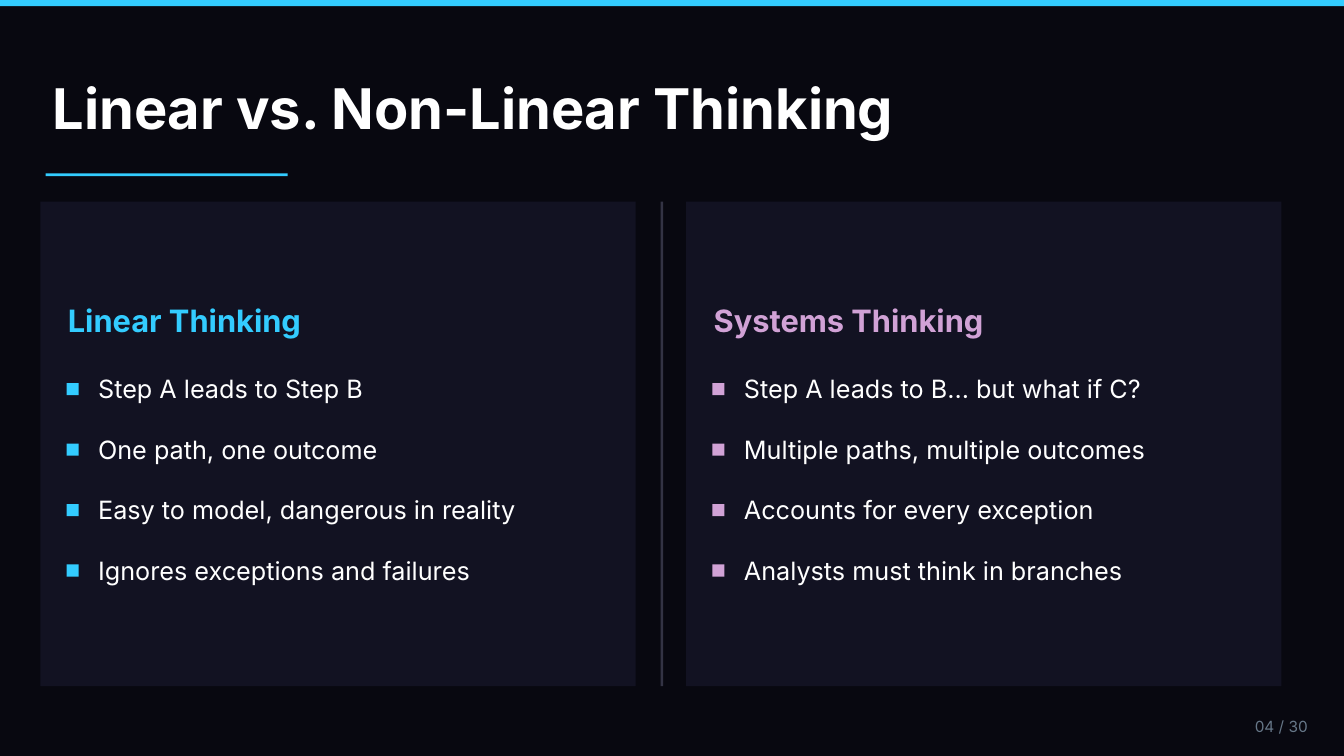
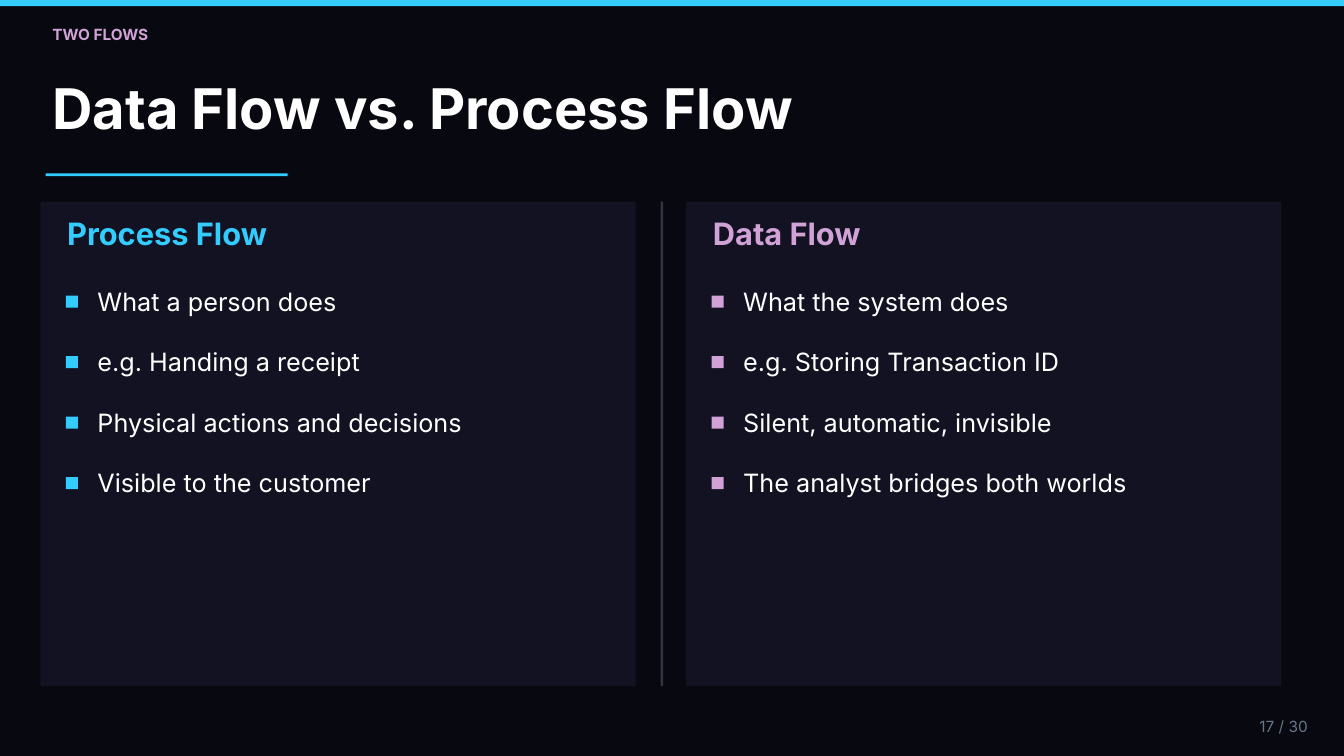
from pptx import Presentation
from pptx.dml.color import RGBColor
from pptx.enum.shapes import MSO_SHAPE
from pptx.enum.text import MSO_AUTO_SIZE, PP_ALIGN
from pptx.util import Inches, Pt

BACKGROUND, PANEL, DIVIDER = "080810", "121222", "333344"
CYAN, LILAC, WHITE, GREY = "33CCFF", "D1A2D6", "FFFFFF", "667788"

TITLE = {"size": Pt(60), "bold": True}
HEADING = {"size": Pt(33), "bold": True}
BODY = {"size": Pt(27), "bold": False}
LABEL = {"size": Pt(16.5), "bold": True}
FOOTER = {"size": Pt(16.5), "bold": False}

FRAME = {
    "margin_left": 0, "margin_top": 0, "margin_right": 0, "margin_bottom": 0,
    "word_wrap": True, "auto_size": MSO_AUTO_SIZE.SHAPE_TO_FIT_TEXT,
}

PANEL_LEFT, PANEL_TOP, PANEL_WIDTH, PANEL_HEIGHT = 0.6, 3, 8.86, 7.21
PANEL_STEP = 9.61
BULLET_SIZE, BULLET_STEP = 0.18, 0.9

PAGES = [
    {
        "number": "04 / 30",
        "label": None,
        "title": "Linear vs. Non-Linear Thinking",
        "inset": 0.41,
        "heading_top": 4.49,
        "columns": [
            ("Linear Thinking", CYAN, [
                "Step A leads to Step B",
                "One path, one outcome",
                "Easy to model, dangerous in reality",
                "Ignores exceptions and failures",
            ]),
            ("Systems Thinking", LILAC, [
                "Step A leads to B... but what if C?",
                "Multiple paths, multiple outcomes",
                "Accounts for every exception",
                "Analysts must think in branches",
            ]),
        ],
    },
    {
        "number": "17 / 30",
        "label": "TWO FLOWS",
        "title": "Data Flow vs. Process Flow",
        "inset": 0.4,
        "heading_top": 3.19,
        "columns": [
            ("Process Flow", CYAN, [
                "What a person does",
                "e.g. Handing a receipt",
                "Physical actions and decisions",
                "Visible to the customer",
            ]),
            ("Data Flow", LILAC, [
                "What the system does",
                "e.g. Storing Transaction ID",
                "Silent, automatic, invisible",
                "The analyst bridges both worlds",
            ]),
        ],
    },
]


def add_block(page, left, top, width, height, color):
    """Add a plain filled rectangle without outline."""
    block = page.shapes.add_shape(
        MSO_SHAPE.RECTANGLE, Inches(left), Inches(top), Inches(width), Inches(height))
    block.shadow.inherit = False
    block.fill.solid()
    block.fill.fore_color.rgb = RGBColor.from_string(color)
    block.line.fill.background()


def add_text(page, left, top, width, height, text, style, color, align=PP_ALIGN.LEFT):
    box = page.shapes.add_textbox(Inches(left), Inches(top), Inches(width), Inches(height))
    for name, value in FRAME.items():
        setattr(box.text_frame, name, value)
    para = box.text_frame.paragraphs[0]
    para.alignment = align
    para.line_spacing = Pt(style["size"].pt * 1.2)
    span = para.add_run()
    span.text = text
    span.font.name = "Inter"
    span.font.color.rgb = RGBColor.from_string(color)
    for name, value in style.items():
        setattr(span.font, name, value)


deck = Presentation()
deck.slide_width = Inches(20)
deck.slide_height = Inches(11.25)

for content in PAGES:
    page = deck.slides.add_slide(deck.slide_layouts[6])
    page.background.fill.solid()
    page.background.fill.fore_color.rgb = RGBColor.from_string(BACKGROUND)

    # Header
    add_block(page, 0, 0, 20, 0.09, CYAN)
    if content["label"]:
        add_text(page, 0.78, 0.37, 11.81, 0.28, content["label"], LABEL, LILAC)
    add_text(page, 0.78, 1.1, 17.81, 1, content["title"], TITLE, WHITE)
    add_block(page, 0.68, 2.58, 3.6, 0.04, CYAN)

    # Two panels with a divider between them
    add_block(page, 9.83, PANEL_TOP, 0.04, PANEL_HEIGHT, DIVIDER)
    for column, (heading, accent, points) in enumerate(content["columns"]):
        panel_left = PANEL_LEFT + column * PANEL_STEP
        text_left = panel_left + content["inset"]
        add_block(page, panel_left, PANEL_TOP, PANEL_WIDTH, PANEL_HEIGHT, PANEL)
        add_text(page, text_left, content["heading_top"], 8.06, 0.55, heading, HEADING, accent)
        for row, point in enumerate(points):
            top = content["heading_top"] + 1.07 + row * BULLET_STEP
            add_block(page, text_left - 0.02, top + 0.14, BULLET_SIZE, BULLET_SIZE, accent)
            add_text(page, text_left + 0.45, top, 7.61, 0.45, point, BODY, WHITE)

    # Footer
    add_text(page, 18.01, 10.67, 1.45, 0.28, content["number"], FOOTER, GREY, PP_ALIGN.RIGHT)

deck.save("out.pptx")
